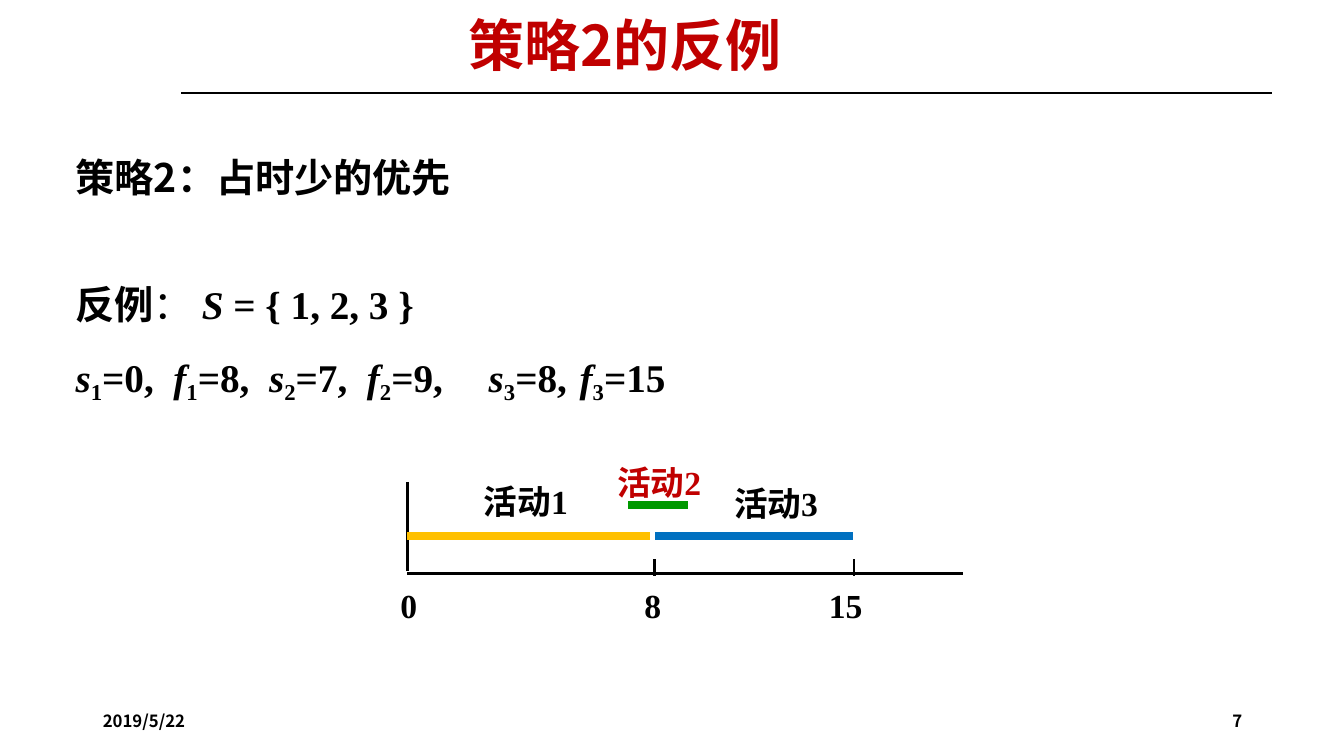
import pptx
import pptx.util
import pptx.dml.color
import pptx.enum.shapes
import pptx.enum.text
import lxml.etree

WIDTH, HEIGHT = 13.33, 7.5
CJK, ROMAN = "Noto Sans CJK SC", "Times New Roman"
COLORS = {"black": "000000", "red": "C00000", "yellow": "FFC000",
          "green": "009900", "blue": "0070C0"}

# A paragraph is a list of (text, style); styles: cjk, light, roman, italic, sub
TITLE = [("策略2的反例", "cjk")]
STRATEGY = [("策略2：占时少的优先", "cjk")]
COUNTEREXAMPLE = [("反例", "cjk"), ("： ", "light"), ("S ", "italic"),
                  ("= { 1, 2, 3 }", "roman")]
TIMES = [("s", "1", "=0,  "), ("f", "1", "=8,  "), ("s", "2", "=7,  "),
         ("f", "2", "=9,\t "), ("s", "3", "=8, \t"), ("f", "3", "=15")]
TIME_TABS = (4, 5)
DATE, NUMBER = "2019/5/22", "7"

# Timeline
AXIS_LEFT, AXIS_RIGHT, AXIS_Y = 4.04, 9.55, 5.69
BAR_Y, RAISED_BAR_Y = 5.32, 5.01
TICKS = [("0", AXIS_LEFT, 3.97, 0.19), ("8", 6.49, 6.39, 0.19), ("15", 8.47, 8.22, 0.36)]
# number, bar start, bar end, bar height, bar colour, label left, label top, label colour
ACTIVITIES = [
    ("1", AXIS_LEFT, 6.45, BAR_Y, "yellow", 4.8, 4.76, "black"),
    ("2", 6.23, 6.82, RAISED_BAR_Y, "green", 6.12, 4.57, "red"),
    ("3", 6.5, 8.46, BAR_Y, "blue", 7.28, 4.78, "black"),
]

inches = pptx.util.Inches
align = pptx.enum.text.PP_ALIGN


def rgb(color):
    return pptx.dml.color.RGBColor.from_string(COLORS[color])


def add_line(page, x1, y1, x2, y2, color, weight):
    line = page.shapes.add_connector(pptx.enum.shapes.MSO_CONNECTOR.STRAIGHT,
                                     inches(x1), inches(y1), inches(x2), inches(y2))
    line.line.color.rgb = rgb(color)
    line.line.width = pptx.util.Pt(weight)
    lxml.etree.SubElement(line._element.spPr, pptx.oxml.ns.qn("a:effectLst"))


def style_span(span, style, size, color):
    span.font.size = pptx.util.Pt(size)
    span.font.bold = style != "light"
    span.font.italic = style == "italic"
    span.font.color.rgb = rgb(color)
    span.font.name = CJK if style in ("cjk", "light") else ROMAN
    properties = span._r.get_or_add_rPr()
    east_asian = lxml.etree.Element(pptx.oxml.ns.qn("a:ea"), typeface=CJK)
    properties.find(pptx.oxml.ns.qn("a:latin")).addnext(east_asian)
    if style == "sub":
        properties.set("baseline", "-21000")


def add_text(page, left, top, width, height, paragraphs, size, color="black"):
    box = page.shapes.add_textbox(inches(left), inches(top), inches(width), inches(height))
    frame = box.text_frame
    frame.word_wrap = True
    frame.margin_left = frame.margin_right = frame.margin_bottom = 0
    frame.margin_top = inches(0.01)
    for index, spans in enumerate(paragraphs):
        para = frame.add_paragraph() if index else frame.paragraphs[0]
        for text, style in spans:
            span = para.add_run()
            span.text = text
            style_span(span, style, size, color)
    return frame


def add_body(page):
    times = [part for name, index, value in TIMES
             for part in ((name, "italic"), (index, "sub"), (value, "roman"))]
    frame = add_text(page, 0.75, 1.28, 11.93, 2.76, [STRATEGY, COUNTEREXAMPLE, times], 28)
    for para in frame.paragraphs:
        para.line_spacing = 1.5
    frame.paragraphs[1].space_before = pptx.util.Pt(40)
    properties = frame.paragraphs[2]._p.get_or_add_pPr()
    tabs = lxml.etree.SubElement(properties, pptx.oxml.ns.qn("a:tabLst"))
    for stop in TIME_TABS:
        lxml.etree.SubElement(tabs, pptx.oxml.ns.qn("a:tab"), pos=str(inches(stop)), algn="l")


def add_timeline(page):
    add_line(page, AXIS_LEFT, AXIS_Y, AXIS_RIGHT, AXIS_Y, "black", 2)
    add_line(page, AXIS_LEFT, 4.78, AXIS_LEFT, 5.66, "black", 2)
    for text, x, label_left, label_width in TICKS:
        if x > AXIS_LEFT:
            add_line(page, x, AXIS_Y - 0.14, x, AXIS_Y + 0.02, "black", 2)
        add_text(page, label_left, AXIS_Y + 0.1, label_width, 0.43, [[(text, "roman")]], 24)
    for number, start, end, y, color, left, top, label_color in ACTIVITIES:
        add_line(page, start, y, end, y, color, 6)
        add_text(page, left, top, 1.42, 0.42, [[("活动", "cjk"), (number, "roman")]],
                 24, label_color)


def add_footer(page):
    for text, left, side in ((DATE, 1.02, align.LEFT), (NUMBER, 9.52, align.RIGHT)):
        frame = add_text(page, left, 6.95, 2.8, 0.4, [[(text, "cjk")]], 12)
        frame.margin_top = 0
        frame.vertical_anchor = pptx.enum.text.MSO_ANCHOR.MIDDLE
        frame.paragraphs[0].alignment = side


def main():
    deck = pptx.Presentation()
    deck.slide_width, deck.slide_height = inches(WIDTH), inches(HEIGHT)
    page = deck.slides.add_slide(deck.slide_layouts[6])
    add_line(page, 1.8, 0.92, 12.62, 0.92, "black", 1.25)
    add_text(page, 4.65, 0.09, 7.36, 0.69, [TITLE], 40, "red")
    add_body(page)
    add_timeline(page)
    add_footer(page)
    deck.save("out.pptx")


if __name__ == "__main__":
    main()
